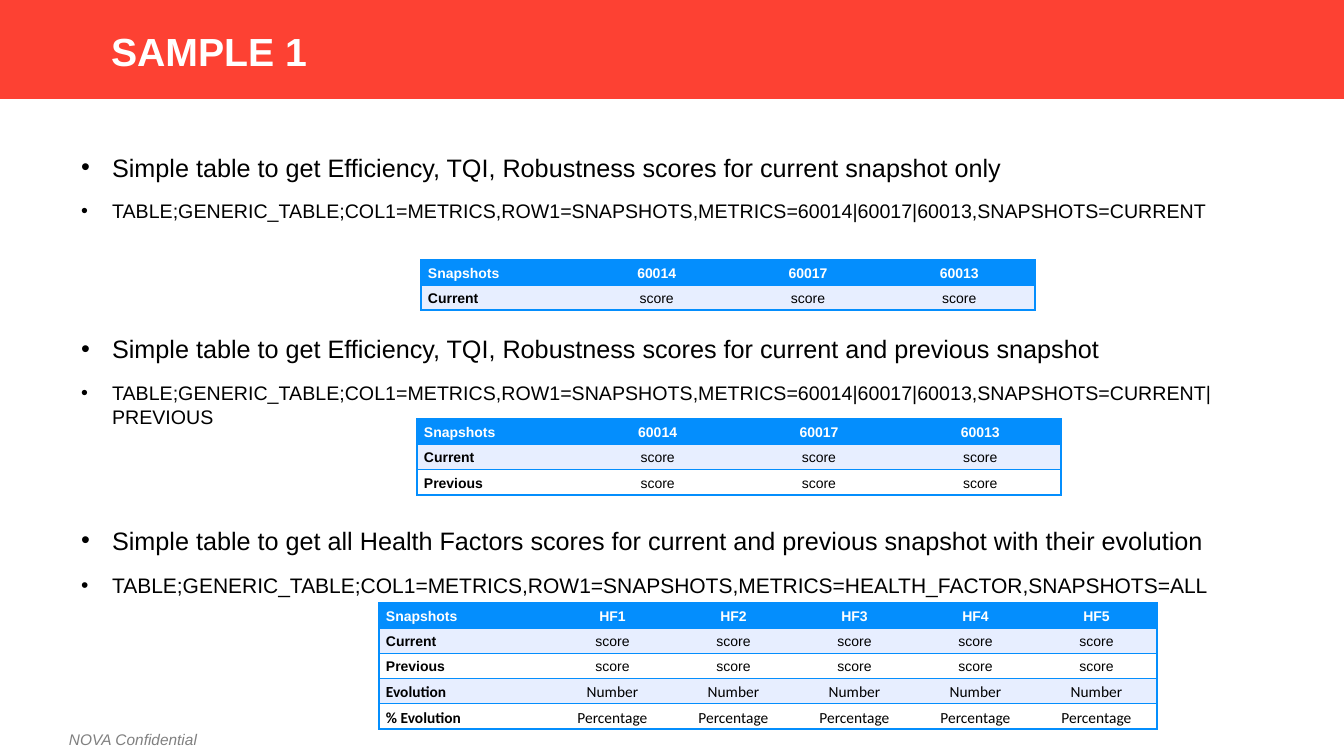
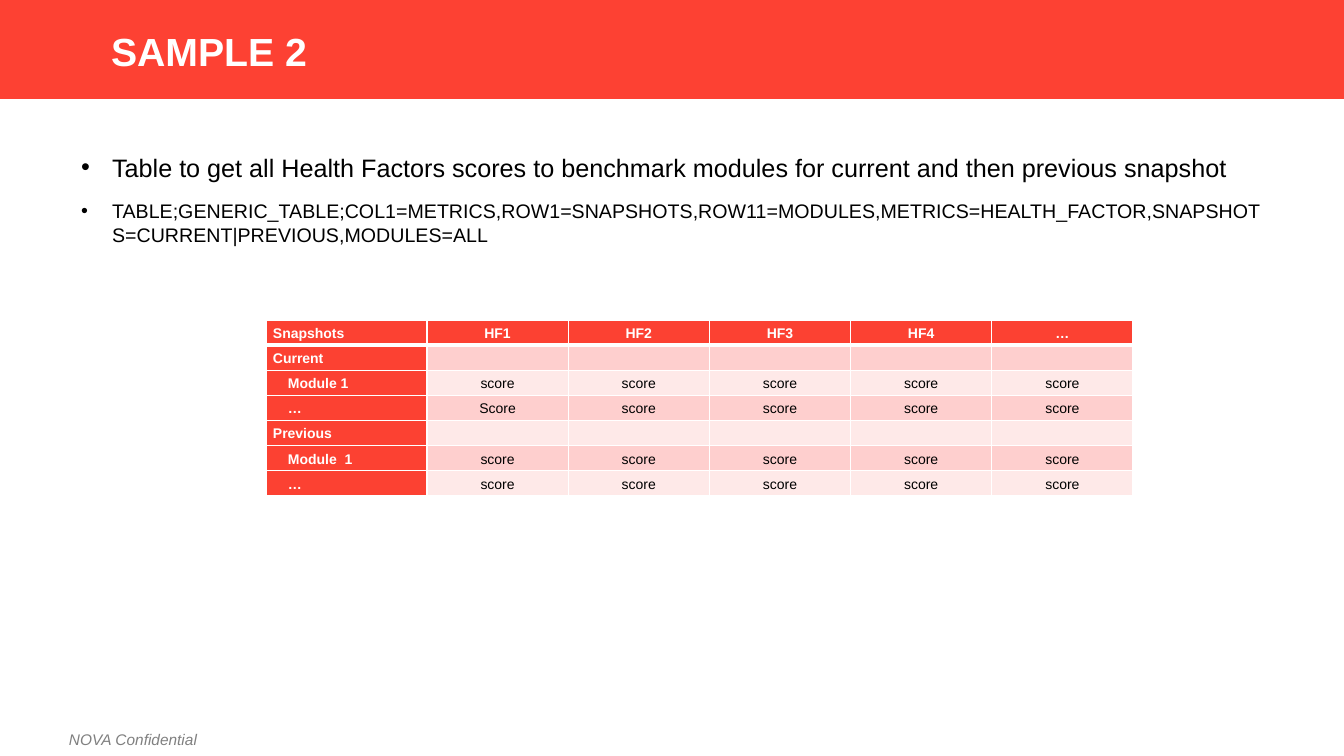
import dataclasses
import typing

import lxml.etree
import pptx
import pptx.dml.color
import pptx.enum.shapes
import pptx.enum.text
import pptx.oxml.ns
import pptx.util

RGBColor = pptx.dml.color.RGBColor
BAND_RED = RGBColor(0xFD, 0x41, 0x33)
TABLE_RED = RGBColor(0xFC, 0x41, 0x32)
ROSE = RGBColor(0xFE, 0xCF, 0xCE)
PALE_ROSE = RGBColor(0xFE, 0xE9, 0xE8)
BLUE = RGBColor(0x04, 0x8E, 0xFD)
PALE_BLUE = RGBColor(0xE7, 0xEE, 0xFF)
WHITE = RGBColor(0xFF, 0xFF, 0xFF)
BLACK = RGBColor(0, 0, 0)
GRAY = RGBColor(0x80, 0x80, 0x80)

PIXEL = 914400 / 100.8
SLIDE_WIDTH, SLIDE_HEIGHT = 1344, 756
BULLET_INDENT = 31
CELL_MARGIN = 7
MODULE_INDENT = 15
PARAGRAPH_GAP = 17


@dataclasses.dataclass
class TableStyle:
    """Colours and rules of one kind of table."""
    header: RGBColor
    bands: tuple
    label_fill: typing.Optional[RGBColor]
    label_color: RGBColor
    rule: RGBColor
    inner_rule: typing.Optional[RGBColor]
    header_rule: int


BLUE_STYLE = TableStyle(BLUE, (PALE_BLUE, WHITE), None, BLACK, BLUE, None, 1)
RED_STYLE = TableStyle(TABLE_RED, (ROSE, PALE_ROSE), TABLE_RED, WHITE, WHITE, WHITE, 3)


def px(length):
    """Turn pixels into EMU."""
    return pptx.util.Emu(round(length * PIXEL))


def place(shape, box):
    """Move a shape to a pixel box."""
    shape.left, shape.top, shape.width, shape.height = map(px, box)


def set_font(paragraph, size, color, bold=False, italic=False, name="Arial"):
    """Format the whole paragraph."""
    font = paragraph.font
    font.name, font.size = name, pptx.util.Pt(size)
    font.bold, font.italic = bold, italic
    font.color.rgb = color


def add_shared_parts(layout, slide):
    """Put the title band, footer and title position on the layout."""
    band = slide.shapes.add_shape(
        pptx.enum.shapes.MSO_SHAPE.RECTANGLE, 0, 0, px(SLIDE_WIDTH), px(99))
    band.shadow.inherit = False
    band.fill.solid()
    band.fill.fore_color.rgb = BAND_RED
    band.line.fill.background()

    footer = slide.shapes.add_textbox(px(59), px(725), px(180), px(29))
    footer.text_frame.word_wrap = True
    footer.text_frame.text = "NOVA Confidential"
    set_font(footer.text_frame.paragraphs[0], 11, GRAY, italic=True)

    for index, shape in enumerate((band, footer)):
        shape.element.nvSpPr.cNvPr.set("id", str(100 + index))
        layout.shapes.element.insert(2 + index, shape.element)
    place(layout.placeholders[0], (101, 28, 1159, 44))


def add_title(slide, text):
    """Fill the title placeholder."""
    frame = slide.shapes.title.text_frame
    frame.text = text
    frame.auto_size = pptx.enum.text.MSO_AUTO_SIZE.NONE
    frame.vertical_anchor = pptx.enum.text.MSO_ANCHOR.TOP
    paragraph = frame.paragraphs[0]
    paragraph.alignment = pptx.enum.text.PP_ALIGN.LEFT
    paragraph.line_spacing = 0.9
    set_font(paragraph, 28, WHITE, bold=True)


def add_bullets(slide, box, bullets):
    """Fill the body placeholder from (gap before, size, text) items."""
    qn = pptx.oxml.ns.qn
    body = slide.placeholders[1]
    place(body, box)
    frame = body.text_frame
    frame.auto_size = pptx.enum.text.MSO_AUTO_SIZE.NONE
    frame.text = "\n".join(text for _, _, text in bullets)
    for paragraph, (gap, size, _) in zip(frame.paragraphs, bullets):
        paragraph.space_before = px(gap)
        set_font(paragraph, size, BLACK)
        properties = paragraph._p.get_or_add_pPr()
        properties.set("marL", str(px(BULLET_INDENT)))
        properties.set("indent", str(-px(BULLET_INDENT)))
        bullet = lxml.etree.Element(qn("a:buChar"), char="•")
        properties.find(qn("a:defRPr")).addprevious(bullet)


def set_border(cell, side, color, width=1):
    """Draw one cell border, or none without a colour."""
    qn = pptx.oxml.ns.qn
    line = lxml.etree.SubElement(cell._tc.get_or_add_tcPr(), qn("a:ln" + side))
    line.set("w", str(pptx.util.Pt(width)))
    if color is None:
        lxml.etree.SubElement(line, qn("a:noFill"))
    else:
        fill = lxml.etree.SubElement(line, qn("a:solidFill"))
        lxml.etree.SubElement(fill, qn("a:srgbClr")).set("val", str(color))


def format_cell(cell, row, column, last_column, style, name, size, indent):
    """Set the borders, fill and text format of one cell."""
    set_border(cell, "L", style.inner_rule if column else style.rule)
    set_border(cell, "R", style.inner_rule if column < last_column else style.rule)
    set_border(cell, "T", style.rule, style.header_rule if row == 1 else 1)
    set_border(cell, "B", style.rule, style.header_rule if row == 0 else 1)

    fill, color = style.bands[(row - 1) % 2], BLACK
    if row == 0:
        fill, color = style.header, WHITE
    elif column == 0:
        fill, color = style.label_fill or fill, style.label_color
    cell.fill.solid()
    cell.fill.fore_color.rgb = fill

    cell.vertical_anchor = pptx.enum.text.MSO_ANCHOR.MIDDLE
    cell.margin_left, cell.margin_right = px(CELL_MARGIN + indent), px(CELL_MARGIN)
    cell.margin_top = cell.margin_bottom = 0
    paragraph = cell.text_frame.paragraphs[0]
    align = pptx.enum.text.PP_ALIGN
    paragraph.alignment = align.CENTER if column else align.LEFT
    paragraph.line_spacing = 1.15
    set_font(paragraph, size, color, bold=row == 0 or column == 0, name=name)


def add_score_table(slide, box, label_width, rows, style):
    """Add a table with a label column and equal value columns."""
    columns = len(rows[0])
    table = slide.shapes.add_table(len(rows), columns, *map(px, box)).table
    table.first_row = table.horz_banding = False
    value_width = (box[2] - label_width) / (columns - 1)
    for index, column in enumerate(table.columns):
        column.width = px(value_width if index else label_width)
    for row, values in enumerate(rows):
        name, size = ("Calibri", 11) if "Evolution" in values[0] else ("Arial", 10)
        is_module = style is RED_STYLE and row > 0 and values[1] != ""
        for column, text in enumerate(values):
            cell = table.cell(row, column)
            cell.text = text
            indent = MODULE_INDENT if is_module and column == 0 else 0
            format_cell(cell, row, column, columns - 1, style, name, size, indent)


def build_snapshot_slide(slide):
    """Show three snapshot tables with their definitions."""
    add_title(slide, "SAMPLE 1")
    command = "TABLE;GENERIC_TABLE;COL1=METRICS,ROW1=SNAPSHOTS,METRICS="
    simple = "Simple table to get "
    add_bullets(slide, (71, 147, 1206, 559), [
        (PARAGRAPH_GAP, 18,
         simple + "Efficiency, TQI, Robustness scores for current snapshot only"),
        (PARAGRAPH_GAP, 14, command + "60014|60017|60013,SNAPSHOTS=CURRENT"),
        (111, 18,
         simple + "Efficiency, TQI, Robustness scores for current and previous snapshot"),
        (PARAGRAPH_GAP, 14, command + "60014|60017|60013,SNAPSHOTS=CURRENT|PREVIOUS"),
        (97, 18, simple + "all Health Factors scores for current and previous "
                          "snapshot with their evolution"),
        (PARAGRAPH_GAP, 15, command + "HEALTH_FACTOR,SNAPSHOTS=ALL"),
    ])
    metrics = ["Snapshots", "60014", "60017", "60013"]
    factors = ["Snapshots"] + [f"HF{number}" for number in range(1, 6)]
    current, previous = ["Current"] + ["score"] * 3, ["Previous"] + ["score"] * 3
    add_score_table(slide, (417, 419, 644, 76), 160,
                    [metrics, current, previous], BLUE_STYLE)
    add_score_table(slide, (421, 260, 614, 50), 160, [metrics, current], BLUE_STYLE)
    add_score_table(slide, (379, 603, 778, 126), 173, [
        factors,
        ["Current"] + ["score"] * 5,
        ["Previous"] + ["score"] * 5,
        ["Evolution"] + ["Number"] * 5,
        ["% Evolution"] + ["Percentage"] * 5,
    ], BLUE_STYLE)


def build_module_slide(slide):
    """Show the table that benchmarks modules."""
    add_title(slide, "SAMPLE 2")
    add_bullets(slide, (71, 147, 1206, 480), [
        (PARAGRAPH_GAP, 18, "Table to get all Health Factors scores to benchmark modules "
                            "for current and then previous snapshot"),
        (PARAGRAPH_GAP, 14, "TABLE;GENERIC_TABLE;COL1=METRICS,ROW1=SNAPSHOTS,ROW11=MODULES,"
                            "METRICS=HEALTH_FACTOR,SNAPSHOTS=CURRENT|PREVIOUS,MODULES=ALL"),
    ])
    scores = ["score"] * 5
    add_score_table(slide, (266, 320, 867, 176), 161, [
        ["Snapshots", "HF1", "HF2", "HF3", "HF4", "…"],
        ["Current"] + [""] * 5,
        ["Module 1"] + scores,
        ["…", "Score"] + scores[1:],
        ["Previous"] + [""] * 5,
        ["Module  1"] + scores,
        ["…"] + scores,
    ], RED_STYLE)


def main():
    """Build and save the presentation."""
    presentation = pptx.Presentation()
    presentation.slide_width, presentation.slide_height = px(SLIDE_WIDTH), px(SLIDE_HEIGHT)
    layout = presentation.slide_layouts[1]
    slides = [presentation.slides.add_slide(layout) for _ in range(2)]
    add_shared_parts(layout, slides[0])
    build_snapshot_slide(slides[0])
    build_module_slide(slides[1])
    presentation.save("out.pptx")


main()
